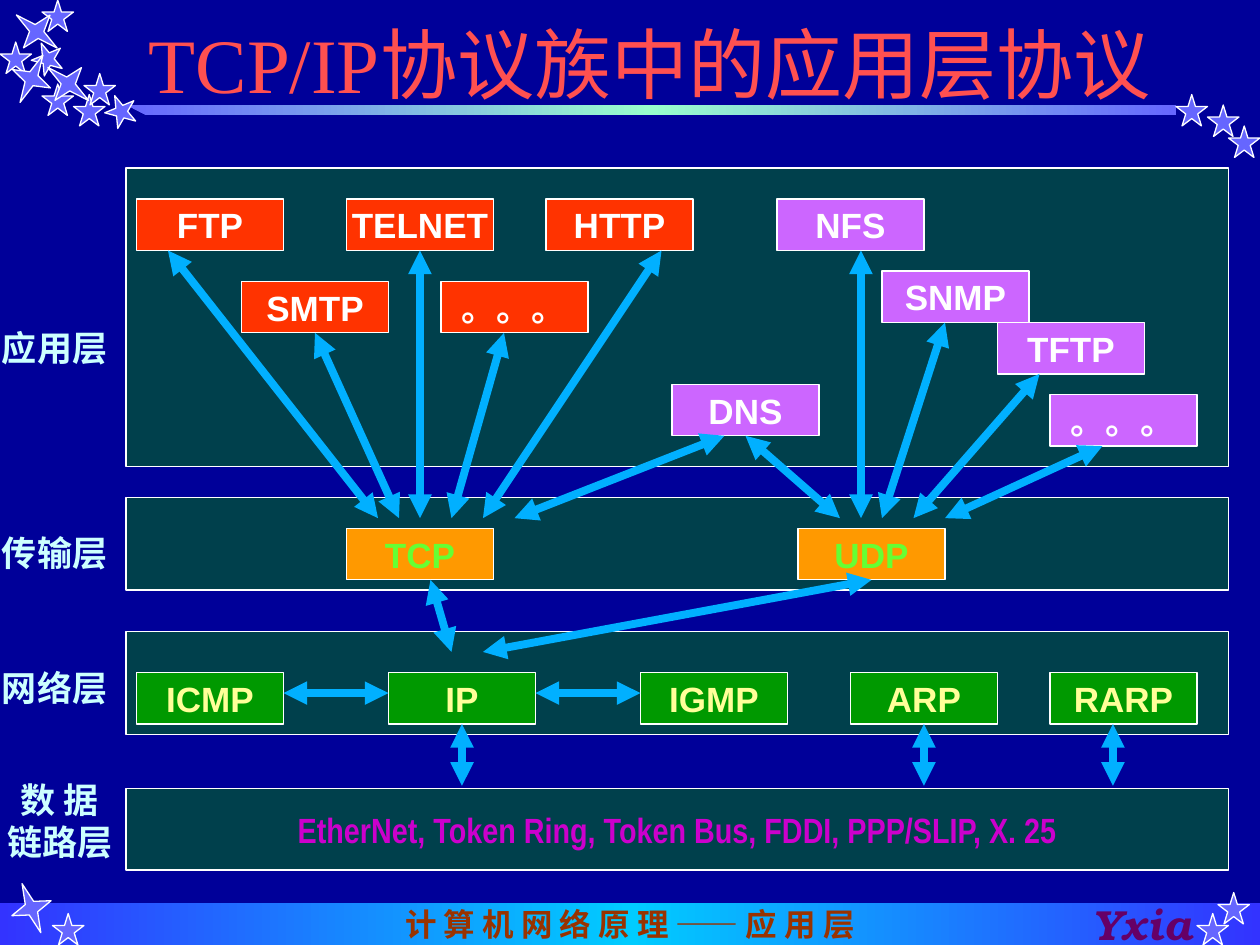
from lxml.etree import SubElement as Sub
from pptx import Presentation
from pptx.dml.color import RGBColor
from pptx.enum.shapes import MSO_CONNECTOR as Link, MSO_SHAPE as Kind
from pptx.enum.text import MSO_ANCHOR as Anchor, PP_ALIGN as Align
from pptx.oxml.ns import qn
from pptx.util import Cm, Pt

CJK = "Noto Sans CJK JP"
WHITE, RED, PINK, GREEN, GOLD = "FFFFFF", "FF3300", "CC66FF", "009900", "FF9900"

PANELS = [(0, 29), (32, 9), (45, 10), (60.3, 7.9)]
LABELS = [
    ("应用层", -1, 14.75, 5.4),
    ("传输层", -1, 34.7, 5.4),
    ("网络层", -1, 47.8, 5.4),
    ("数 据\n链路层", -0.5, 58.7, 9.4),
]
BOXES = [
    (RED, WHITE, [("FTP", 13, 3), ("TELNET", 33, 3), ("HTTP", 52, 3),
                  ("SMTP", 23, 11), ("。。。", 42, 11)]),
    (PINK, WHITE, [("NFS", 74, 3), ("SNMP", 84, 10), ("TFTP", 95, 15),
                   ("DNS", 64, 21), ("。。。", 100, 22)]),
    (GOLD, "66FF33", [("TCP", 33, 35), ("UDP", 76, 35)]),
    (GREEN, "FFFF99", [("ICMP", 13, 49), ("IP", 37, 49), ("IGMP", 61, 49),
                       ("ARP", 81, 49), ("RARP", 100, 49)]),
]
JOINED = [
    ("SMTP", 38, 34), ("TELNET", 40, 34), ("DNS", 80, 34),
    ("IP", 44, 60), ("ARP", 88, 60),
]
ARROWS = [
    (16, 8, 36, 34), (48, 16, 43, 34), (63, 8, 46, 34), (69, 26, 49, 34),
    (82, 8, 82, 34), (90, 15, 84, 34), (99, 20, 87, 34), (105, 27, 90, 34),
    (41, 40, 43, 47), (46, 47, 83, 40), (106, 54, 106, 60),
    (37, 51, 27, 51), (61, 51, 51, 51),
]
STARS = [
    (4, 0, 0), (3, 4, -22.5), (0, 4, 0), (7, 9, 0), (10, 9, -22.5),
    (112, 9, 0), (117, 12, 0), (115, 10, 0), (8, 7, 0), (4, 8, 0),
    (114, 87, 0), (116, 85, 0), (5, 87, 0),
]
SPARKS = [(1.5, 0.5, -51), (1, 5, 25.8), (1, 84, -20.9), (4.5, 5.5, -51)]


def col(n):
    """Return the length of n twelfths of an inch."""
    return Cm(2.54 * n / 12)


def row(n):
    """Return the height on the slide of diagram row n."""
    return Cm(3.39 + 0.83 * n / 4)


def tint(code):
    """Turn a hex string into a colour."""
    return RGBColor.from_string(code)


def write(shape, text, size=20, font="Arial", color=WHITE, bold=True,
          slant=False, align=Align.CENTER, anchor=Anchor.MIDDLE, wrap=False):
    """Put formatted text into a shape."""
    frame = shape.text_frame
    frame.word_wrap = wrap
    frame.vertical_anchor = anchor
    para = frame.paragraphs[0]
    para.text = text
    para.alignment = align
    for run in para.runs:
        face = run.font
        face.size, face.name = Pt(size), font
        face.bold, face.italic = bold, slant
        face.color.rgb = tint(color)
        Sub(run._r.get_or_add_rPr(), qn("a:ea"), typeface=CJK)


def paint(shape, fill, alpha=None):
    """Give a shape a flat fill and a thin white line."""
    shape.shadow.inherit = False
    shape.fill.solid()
    shape.fill.fore_color.rgb = tint(fill)
    shape.line.color.rgb = tint(WHITE)
    shape.line.width = Pt(0.75)
    if alpha:
        code = shape.fill._xPr.find(".//" + qn("a:srgbClr"))
        Sub(code, qn("a:alpha"), val=str(alpha * 1000))


def blend(shape, edge, core):
    """Fill a shape with a level blend from edge to core and back."""
    shape.shadow.inherit = False
    shape.line.fill.background()
    shape.fill.gradient()
    shape.fill.gradient_angle = 0
    stops = shape.fill._xPr.find(".//" + qn("a:gsLst"))
    for old in list(stops):
        stops.remove(old)
    for place, code in ((0, edge), (50, core), (100, edge)):
        stop = Sub(stops, qn("a:gs"), pos=str(place * 1000))
        Sub(stop, qn("a:srgbClr"), val=code)


def block(shapes, x, y, wide, rows, fill, alpha=None):
    """Add a rectangle placed on the diagram rows."""
    shape = shapes.add_shape(Kind.RECTANGLE, col(x), row(y), col(wide),
                             row(y + rows) - row(y))
    paint(shape, fill, alpha)
    return shape


def star(shapes, kind, x, y, wide, high, turn):
    """Add a turned star."""
    shape = shapes.add_shape(kind, col(x), col(y), col(wide), col(high))
    shape.rotation = turn
    paint(shape, "6666FF")
    return shape


def arrow(shapes, x1, y1, x2, y2, box=None):
    """Add a two-headed arrow, joined to the foot of a box if given."""
    line = shapes.add_connector(Link.STRAIGHT, col(x1), row(y1), col(x2), row(y2))
    if box is not None:
        line.begin_connect(box, 2)
    line.line.color.rgb = tint("01B0FF")
    line.line.width = Pt(4.5)
    for end in ("a:headEnd", "a:tailEnd"):
        Sub(line.line._get_or_add_ln(), qn(end), type="triangle")
    Sub(line._element.spPr, qn("a:effectLst"))


def frame(shapes):
    """Add the title, the two bars, the stars and the signature."""
    foot = shapes.add_shape(Kind.RECTANGLE, 0, col(86), col(120), col(4))
    blend(foot, "3333FF", "00CCFF")
    write(foot, "计 算 机 网 络 原 理 —— 应 用 层", size=18, font=CJK, color="993300")
    pen = shapes.build_freeform(112, 10, scale=col(1))
    pen.add_line_segments([(13.8, 10), (12, 10.5), (13.8, 11), (112, 11)])
    blend(pen.convert_to_shape(), "6666FF", "99FFCC")
    for x, y, turn in STARS:
        star(shapes, Kind.STAR_5_POINT, x, y, 3, 3, turn)
    for x, y, turn in SPARKS:
        spark = star(shapes, Kind.STAR_4_POINT, x, y, 4, 5, turn)
        spark.adjustments[0] = 0.15
    sign = shapes.add_textbox(col(103), col(87), col(15), col(2))
    write(sign, "Yxia", size=24, font="TeX Gyre Bonum", color="660066",
          slant=True, align=Align.LEFT, wrap=True)
    title = shapes.add_textbox(col(13), col(3), col(100), col(8))
    write(title, "TCP/IP协议族中的应用层协议", size=44, font="Times New Roman",
          color="FF5050", bold=False, align=Align.LEFT, anchor=Anchor.BOTTOM,
          wrap=True)


def layers(shapes):
    """Add the layer panels with their labels."""
    for y, rows in PANELS:
        panel = block(shapes, 12, y, 105, rows, "008000", alpha=50)
    write(panel, "EtherNet, Token Ring, Token Bus, FDDI, PPP/SLIP, X. 25",
          font="Arial Narrow", color="CC00CC")
    for text, x, y, rows in LABELS:
        label = shapes.add_textbox(col(x), row(y), col(12.4), row(y + rows) - row(y))
        write(label, text, font="Times New Roman", color="CCFFFF", anchor=Anchor.TOP)


def graph(shapes):
    """Add the protocol boxes and the arrows between them."""
    boxes = {}
    for fill, ink, group in BOXES:
        for name, x, y in group:
            boxes[name] = block(shapes, x, y, 14, 5, fill)
            write(boxes[name], name, color=ink)
    spots = {name: (x + 7, y + 5) for _, _, group in BOXES for name, x, y in group}
    for name, x, y in JOINED:
        arrow(shapes, *spots[name], x, y, box=boxes[name])
    for ends in ARROWS:
        arrow(shapes, *ends)


def main():
    """Build the slide and save it."""
    deck = Presentation()
    deck.slide_width, deck.slide_height = Cm(25.4), Cm(19.05)
    slide = deck.slides.add_slide(deck.slide_layouts[6])
    slide.background.fill.solid()
    slide.background.fill.fore_color.rgb = tint("000099")
    frame(slide.shapes)
    layers(slide.shapes)
    graph(slide.shapes)
    deck.save("out.pptx")


if __name__ == "__main__":
    main()
